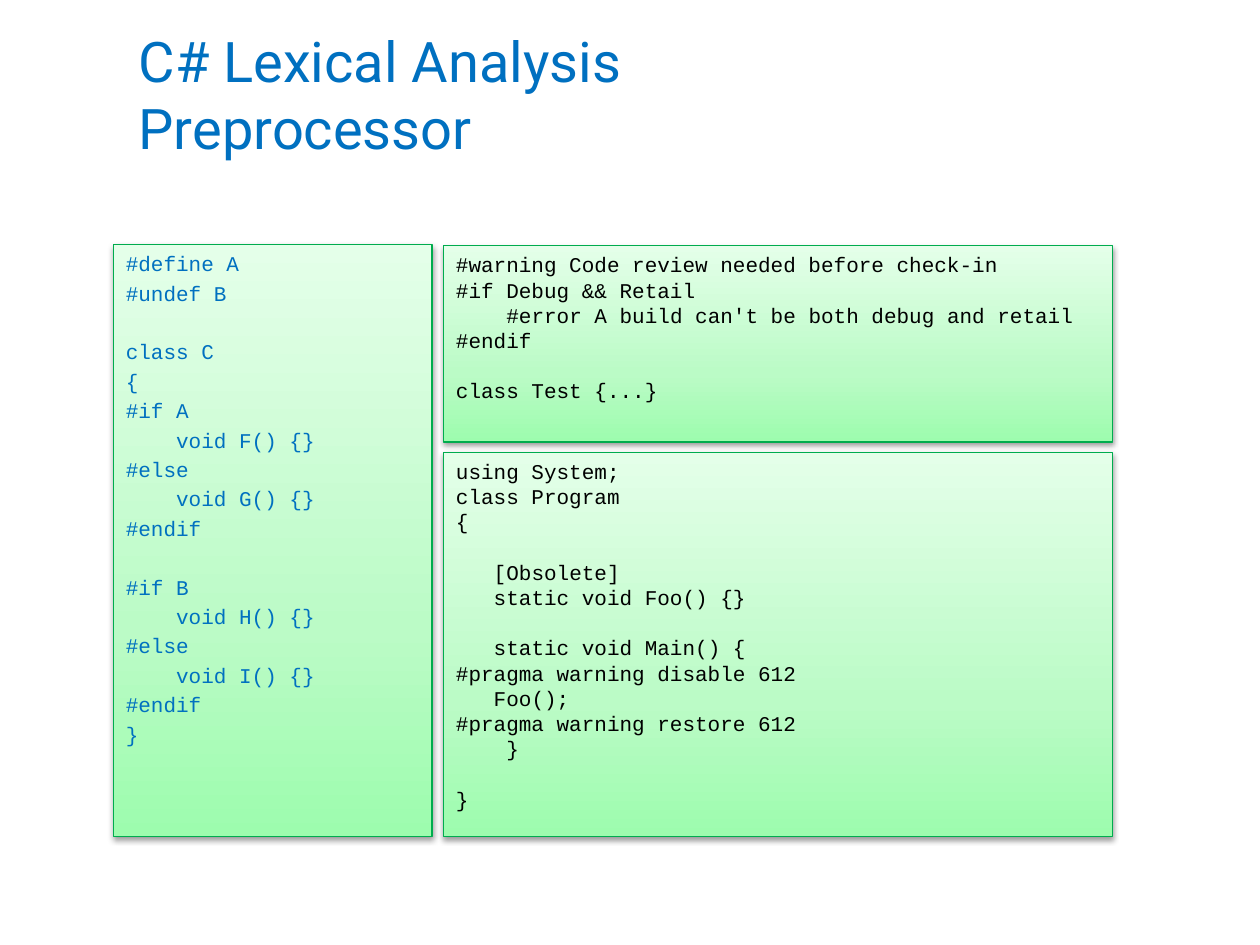
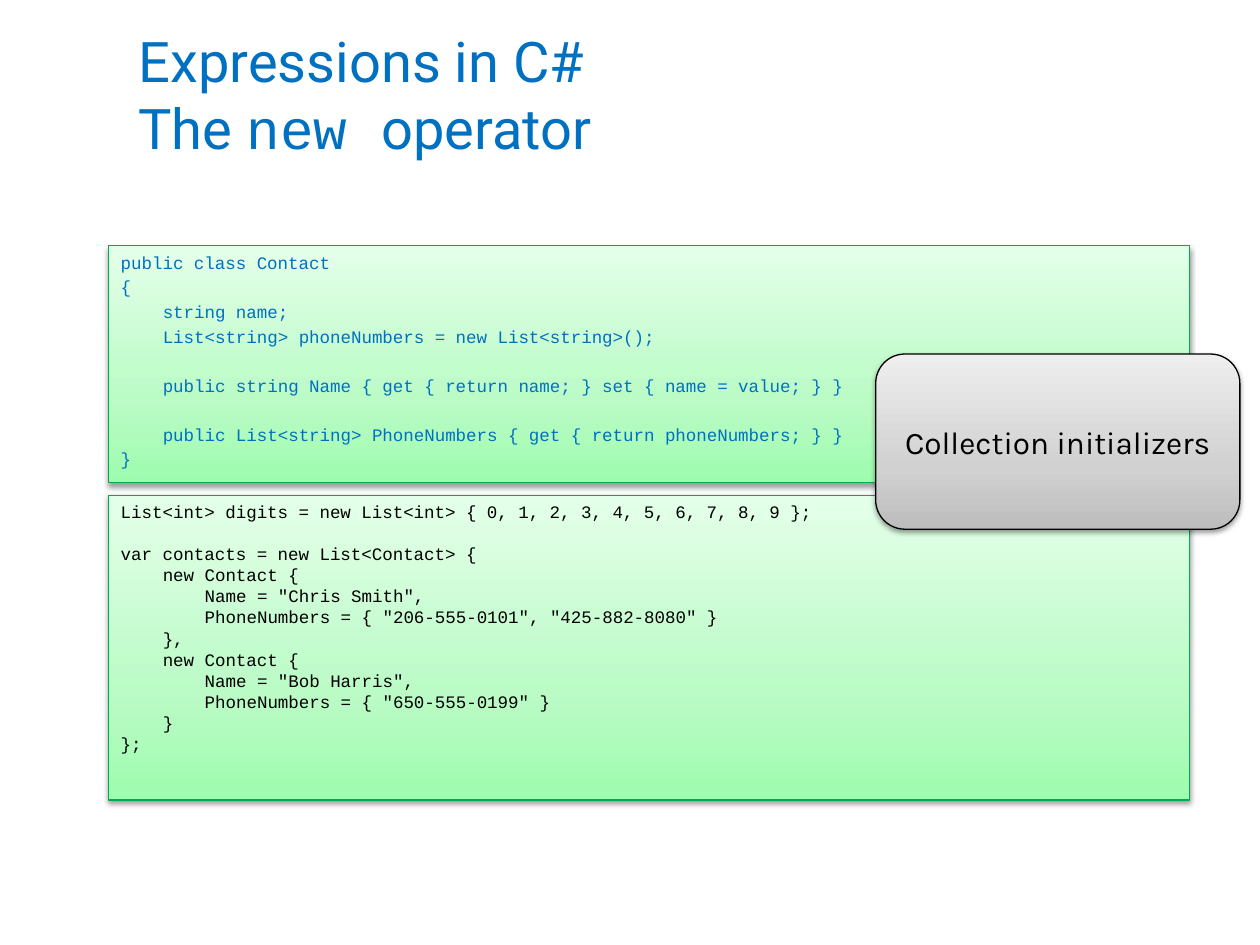
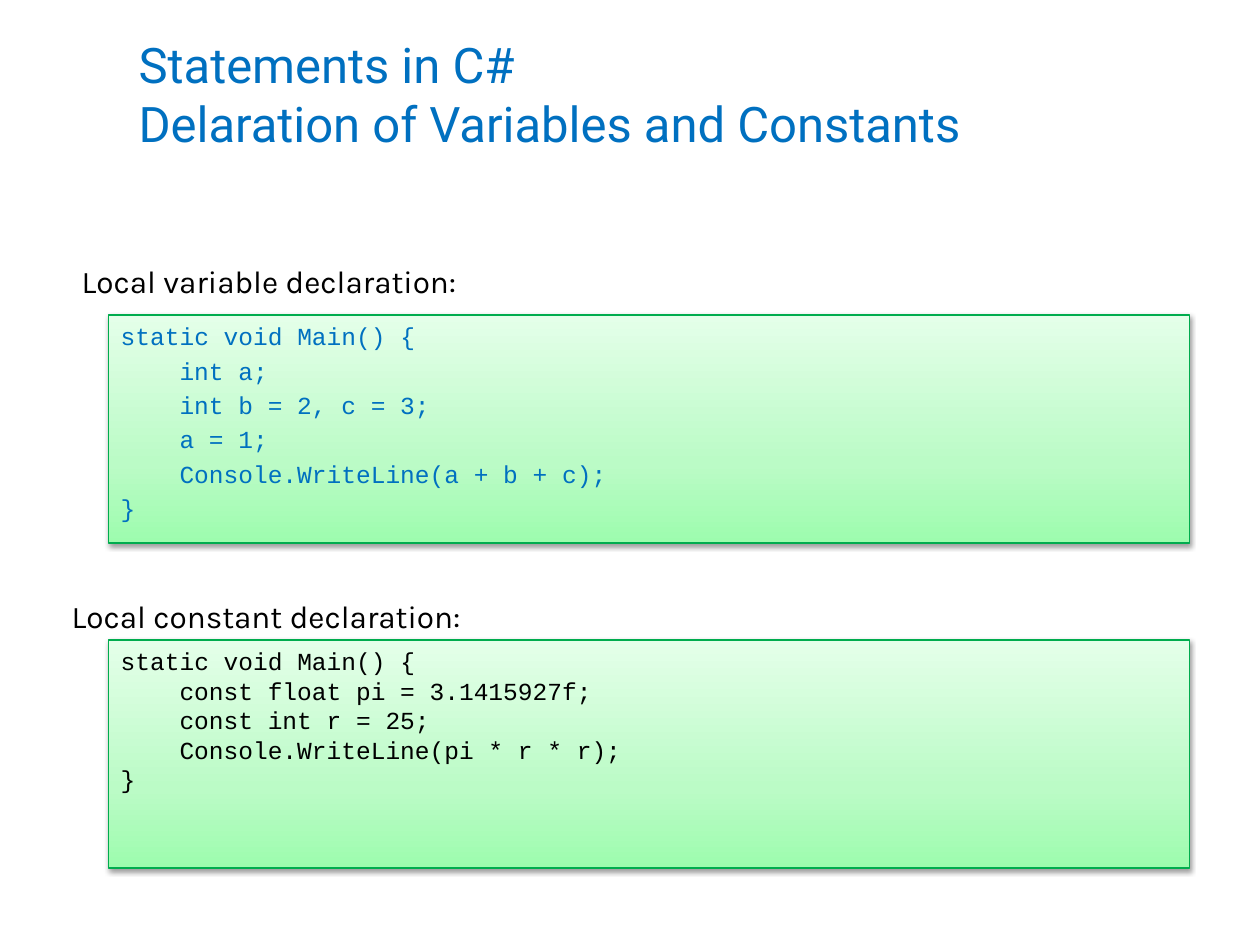
from dataclasses import dataclass

from pptx import Presentation
from pptx import oxml, util as u
from pptx.dml import color
from pptx.enum import shapes, text
from pptx.oxml import ns

# Shared style
COLOURS = {
    "title": "0070C0",
    "ink": "000000",
    "code_edge": "00AC4E",
}
GRADIENTS = {
    "code": {0: "9DFCAE", 35: "BBFBC6", 100: "E4FFE9"},
    "callout": {0: "BDBDBD", 35: "D1D1D1", 100: "EEEEEE"},
}
TITLE_FONT, CODE_FONT, LABEL_FONT = "Roboto", "Courier New", "Karla"
LABEL_SIZE = 18
CHARACTER_WIDTH = 0.6  # of the code size
LINE_HEIGHT = 1.2
LOOSE_GAP = 0.2


@dataclass
class Area:
    left: float
    top: float
    width: float
    height: float

    def lengths(self) -> list:
        return [u.Inches(n) for n in (self.left, self.top, self.width, self.height)]


@dataclass
class CodeBox:
    area: Area
    size: int
    code: str
    main: bool = False  # main listings are blue and loosely spaced


@dataclass
class Label:
    area: Area
    words: str


@dataclass
class Span:
    words: str
    font: str = TITLE_FONT


TITLE_AREA = Area(1, 0.17, 8.75, 1.14)


# Drawing functions
def add_span(para, words: str, font: str, size: float, colour: str) -> None:
    span = para.add_run()
    span.text = words
    span.font.name = font
    span.font.size = u.Pt(size)
    span.font.color.rgb = color.RGBColor.from_string(COLOURS[colour])


def add_page(deck, title_lines: list[list[Span]], size: int):
    page = deck.slides.add_slide(deck.slide_layouts[5])
    title = page.shapes.title
    title.left, title.top, title.width, title.height = TITLE_AREA.lengths()
    frame = title.text_frame
    frame.word_wrap = True
    frame.auto_size = text.MSO_AUTO_SIZE.NONE
    frame.vertical_anchor = text.MSO_ANCHOR.MIDDLE
    para = frame.paragraphs[0]
    para.alignment = text.PP_ALIGN.LEFT
    for number, line in enumerate(title_lines):
        if number:
            para.add_line_break()
        for span in line:
            add_span(para, span.words, span.font, size, "title")
    return page


def add_panel(page, kind, area: Area, gradient: str, edge: str):
    """Add a shape with an upward gradient, a thin edge and a soft shadow."""
    box = page.shapes.add_shape(kind, *area.lengths())
    stops = "".join(
        f'<a:gs pos="{place * 1000}"><a:srgbClr val="{value}"/></a:gs>'
        for place, value in GRADIENTS[gradient].items()
    )
    properties = box._element.spPr
    properties.append(oxml.parse_xml(
        f'<a:gradFill {ns.nsdecls("a")} rotWithShape="1"><a:gsLst>{stops}</a:gsLst>'
        '<a:lin ang="16200000" scaled="0"/></a:gradFill>'
    ))
    box.line.color.rgb = color.RGBColor.from_string(COLOURS[edge])
    box.line.width = u.Pt(0.75)
    box.shadow.inherit = False
    properties.find(ns.qn("a:effectLst")).append(oxml.parse_xml(
        f'<a:outerShdw {ns.nsdecls("a")} blurRad="{u.Pt(3.1)}" dist="{u.Pt(1.6)}"'
        ' dir="5400000" rotWithShape="0">'
        f'<a:srgbClr val="{COLOURS["ink"]}"><a:alpha val="38000"/></a:srgbClr>'
        '</a:outerShdw>'
    ))
    box.text_frame.word_wrap = True
    return box


def add_code(page, listing: CodeBox) -> None:
    box = add_panel(page, shapes.MSO_SHAPE.RECTANGLE, listing.area, "code", "code_edge")
    frame = box.text_frame
    frame.vertical_anchor = text.MSO_ANCHOR.TOP
    gap = LOOSE_GAP if listing.main else 0
    para, skipped = None, 0
    for line in listing.code.strip("\n").splitlines():
        words = line.lstrip()
        if not words:
            skipped += 1
            continue
        para = frame.add_paragraph() if para else frame.paragraphs[0]
        para.alignment = text.PP_ALIGN.LEFT
        para.space_before = u.Pt(listing.size * (gap + skipped * (LINE_HEIGHT + gap)))
        indent = (len(line) - len(words)) * CHARACTER_WIDTH * listing.size
        para._p.get_or_add_pPr().set("marL", str(u.Pt(indent)))
        add_span(para, words, CODE_FONT, listing.size, "title" if listing.main else "ink")
        skipped = 0


def add_callout(page, label: Label) -> None:
    box = add_panel(page, shapes.MSO_SHAPE.ROUNDED_RECTANGLE, label.area, "callout", "ink")
    box.text_frame.vertical_anchor = text.MSO_ANCHOR.MIDDLE
    para = box.text_frame.paragraphs[0]
    para.alignment = text.PP_ALIGN.CENTER
    add_span(para, label.words, LABEL_FONT, LABEL_SIZE, "ink")


def add_label(page, label: Label) -> None:
    frame = page.shapes.add_textbox(*label.area.lengths()).text_frame
    frame.word_wrap = False
    frame.auto_size = text.MSO_AUTO_SIZE.SHAPE_TO_FIT_TEXT
    add_span(frame.paragraphs[0], label.words, LABEL_FONT, LABEL_SIZE, "ink")


# Preprocessor listings
PREPROCESSOR = [
    CodeBox(Area(0.9, 1.94, 2.53, 4.7), 12, """
#define A
#undef B

class C
{
#if A
    void F() {}
#else
    void G() {}
#endif

#if B
    void H() {}
#else
    void I() {}
#endif
}
""", main=True),
    CodeBox(Area(3.52, 1.95, 5.31, 1.56), 12, """
#warning Code review needed before check-in
#if Debug && Retail
    #error A build can't be both debug and retail
#endif

class Test {...}
"""),
    CodeBox(Area(3.52, 3.59, 5.31, 3.05), 12, """
using System;
class Program
{

   [Obsolete]
   static void Foo() {}

   static void Main() {
#pragma warning disable 612
   Foo();
#pragma warning restore 612
    }

}
"""),
]

# Listings for the new operator
NEW_OPERATOR = [
    CodeBox(Area(0.86, 1.95, 8.58, 1.88), 10, """
public class Contact
{
    string name;
    List<string> phoneNumbers = new List<string>();

    public string Name { get { return name; } set { name = value; } }

    public List<string> PhoneNumbers { get { return phoneNumbers; } }
}
""", main=True),
    CodeBox(Area(0.86, 3.93, 8.58, 2.42), 10, """
List<int> digits = new List<int> { 0, 1, 2, 3, 4, 5, 6, 7, 8, 9 };

var contacts = new List<Contact> {
    new Contact {
        Name = "Chris Smith",
        PhoneNumbers = { "206-555-0101", "425-882-8080" }
    },
    new Contact {
        Name = "Bob Harris",
        PhoneNumbers = { "650-555-0199" }
    }
};
"""),
]
INITIALIZERS = Label(Area(6.95, 2.81, 2.89, 1.39), "Collection initializers")

# Declaration listings
DECLARATIONS = [
    CodeBox(Area(0.86, 2.5, 8.58, 1.81), 14, """
static void Main() {
    int a;
    int b = 2, c = 3;
    a = 1;
    Console.WriteLine(a + b + c);
}
""", main=True),
    CodeBox(Area(0.86, 5.08, 8.58, 1.81), 14, """
static void Main() {
    const float pi = 3.1415927f;
    const int r = 25;
    Console.WriteLine(pi * r * r);
}
"""),
]
DECLARATION_LABELS = [
    Label(Area(0.55, 2.03, 3.54, 0.4), "Local variable declaration:"),
    Label(Area(0.47, 4.69, 3.62, 0.4), "Local constant declaration:"),
]


def main() -> None:
    deck = Presentation()
    deck.slide_width, deck.slide_height = u.Inches(10), u.Inches(7.5)

    # Preprocessor
    page = add_page(deck, [[Span("C# Lexical Analysis")], [Span("Preprocessor")]], 32)
    for listing in PREPROCESSOR:
        add_code(page, listing)

    # The new operator
    operator_line = [Span("The "), Span("new ", CODE_FONT), Span("operator")]
    page = add_page(deck, [[Span("Expressions in C#")], operator_line], 32)
    for listing in NEW_OPERATOR:
        add_code(page, listing)
    add_callout(page, INITIALIZERS)

    # Declarations
    page = add_page(
        deck,
        [[Span("Statements in C#")], [Span("Delaration of Variables and Constants")]],
        28,
    )
    for listing in DECLARATIONS:
        add_code(page, listing)
    for label in DECLARATION_LABELS:
        add_label(page, label)

    deck.save("out.pptx")


if __name__ == "__main__":
    main()
